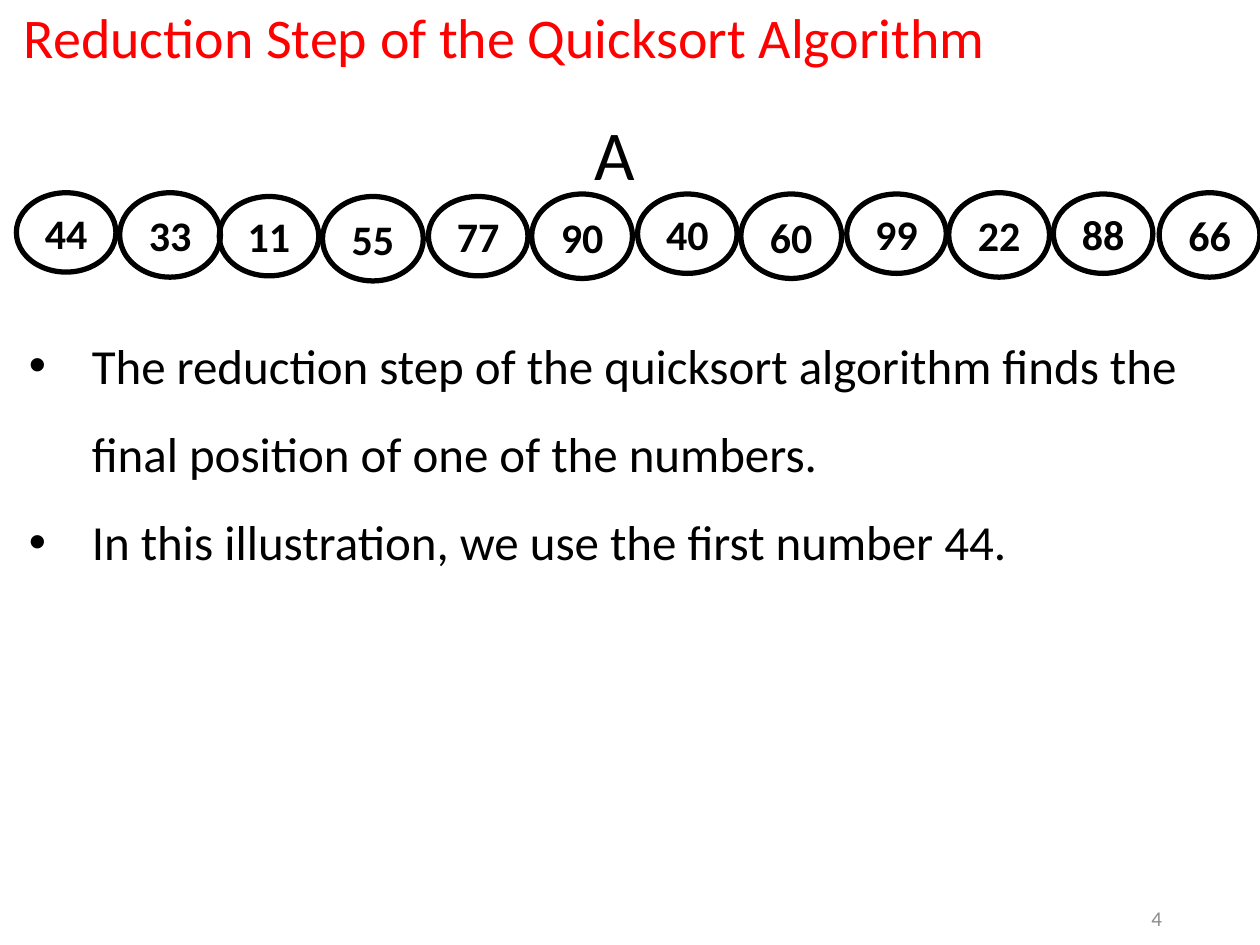
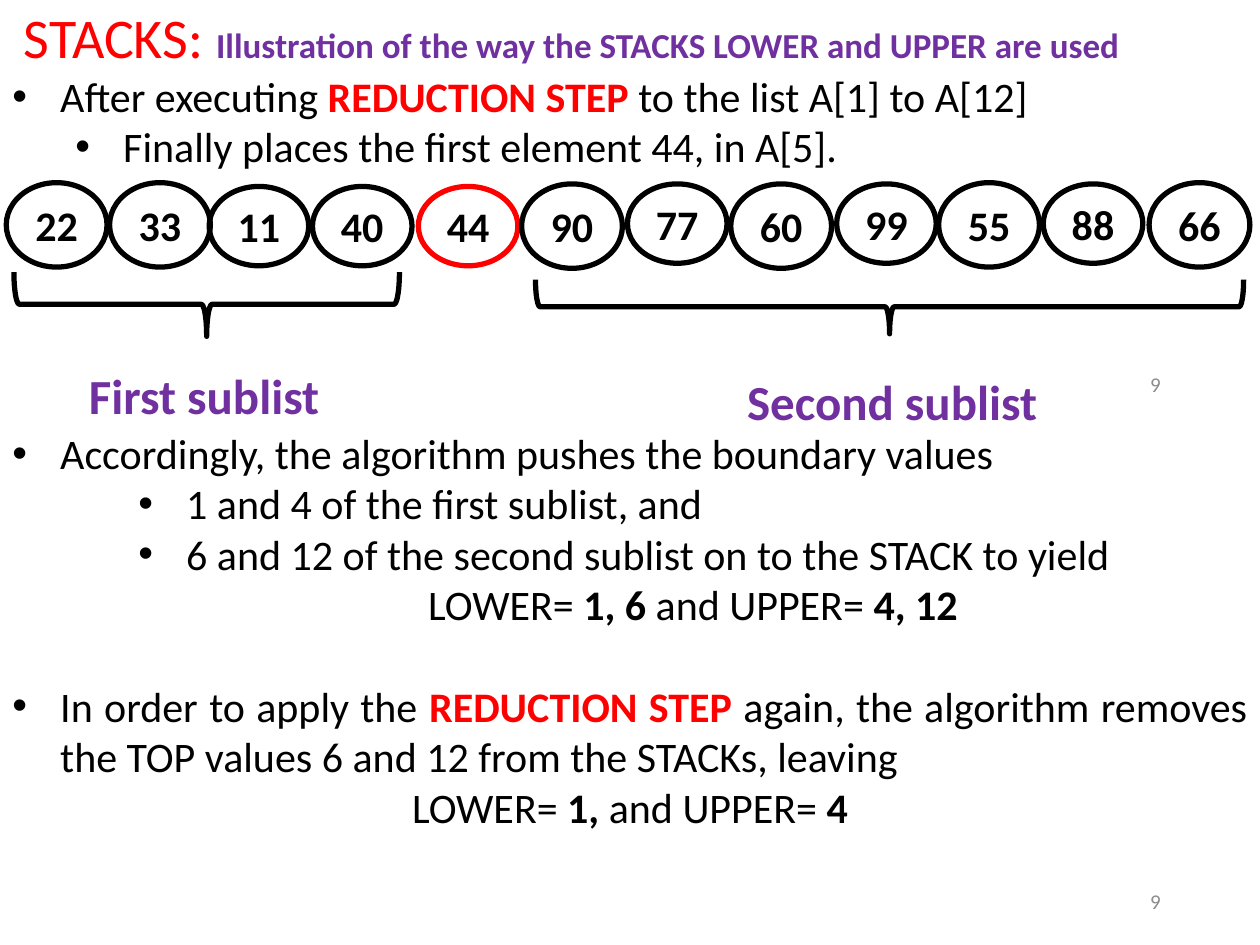
from lxml.etree import SubElement
from pptx import Presentation
from pptx.dml.color import RGBColor
from pptx.enum.shapes import MSO_SHAPE
from pptx.enum.text import MSO_ANCHOR, MSO_AUTO_SIZE, PP_ALIGN
from pptx.oxml.ns import qn
from pptx.util import Inches, Pt

FONT = "Calibri"
BLACK, RED, PURPLE, GREY = "000000", "FF0000", "7030A0", "8C8C8C"
LEFT, CENTER, RIGHT, JUSTIFY = PP_ALIGN.LEFT, PP_ALIGN.CENTER, PP_ALIGN.RIGHT, PP_ALIGN.JUSTIFY
BODY_SIZE = 24
BODY_LINE = 1.22 * BODY_SIZE

COLUMN_LEFTS = [0.13, 0.95, 1.74, 2.56, 3.4, 4.22, 5.06, 5.88, 6.72, 7.53, 8.36, 9.2]
COLUMN_TOPS = [1.53, 1.53, 1.56, 1.56, 1.56, 1.54, 1.54, 1.54, 1.54, 1.53, 1.54, 1.53]
LARGE_NUMBERS = {22, 33, 55, 60, 66, 90}
SMALL_SIZE, LARGE_SIZE = (0.79, 0.63), (0.8, 0.67)

UNSORTED = [44, 33, 11, 55, 77, 90, 40, 60, 99, 22, 88, 66]
REDUCED = [22, 33, 11, 40, 44, 90, 77, 60, 99, 55, 88, 66]
PIVOT = 44
REDUCED_SHIFT = -0.08

REDUCTION_TITLE = [("Reduction Step of the Quicksort Algorithm", 32, RED, False)]
STACKS_TITLE = [
    ("STACKS: ", 32, RED, False),
    ("Illustration of the way the STACKS LOWER and UPPER are used", 20, PURPLE, True),
]
REDUCTION_POINTS = [
    "The reduction step of the quicksort algorithm finds the final position of one of the numbers.",
    "In this illustration, we use the first number 44.",
]


def plain(text):
    return text, BODY_SIZE, BLACK, False


def strong(text, color=BLACK):
    return text, BODY_SIZE, color, True


STACKS_POINTS = [
    dict(pieces=[plain("After executing "), strong("REDUCTION STEP ", RED),
                 plain("to the list A[1] to A[12]")], margin=0.38, hanging=0.38),
    dict(pieces=[plain("Finally places the first element 44, in A[5].")],
         level=1, margin=0.88, hanging=0.38),
    dict(pieces=[plain("Accordingly, the algorithm pushes the boundary values")],
         margin=0.38, hanging=0.38, lines_before=5),
    dict(pieces=[plain("1 and 4 of the first sublist, and")],
         level=2, margin=1.38, hanging=0.38),
    dict(pieces=[plain("6 and 12 of the second sublist on to the STACK to yield")],
         level=2, margin=1.38, hanging=0.38),
    dict(pieces=[plain("LOWER= "), strong("1, 6 "), plain("and UPPER= "), strong("4, 12")],
         level=2, margin=1, align=CENTER),
    dict(pieces=[plain("In order to apply the "), strong("REDUCTION STEP ", RED),
                 plain("again, the algorithm removes the TOP values 6 and 12 from the STACKs, leaving ")],
         level=2, margin=0.38, hanging=0.38, align=JUSTIFY, lines_before=1),
    dict(pieces=[plain("LOWER= "), strong("1, "), plain("and UPPER= "), strong("4")],
         level=2, align=CENTER),
]
SUBLISTS = [
    dict(label="First sublist", label_at=(0.3, 2.85), brace=(0.11, 2.16, 3.06, 0.51)),
    dict(label="Second sublist", label_at=(5.76, 2.9), brace=(4.25, 2.22, 5.62, 0.43)),
]


def rgb(code):
    return RGBColor.from_string(code)


def inches(*lengths):
    return [Inches(length) for length in lengths]


def write(paragraph, pieces, align=LEFT, level=0, margin=0, hanging=0, lines_before=0, spacing=None):
    paragraph.alignment = align
    paragraph.level = level
    if lines_before:
        paragraph.space_before = Pt(round(lines_before * BODY_LINE, 1))
    if spacing:
        paragraph.line_spacing = spacing
    properties = paragraph._p.get_or_add_pPr()
    properties.set("marL", str(Inches(margin)))
    properties.set("indent", str(-Inches(hanging)))
    if hanging:
        SubElement(properties, qn("a:buFont")).set("typeface", "Arial")
        SubElement(properties, qn("a:buChar")).set("char", "•")
    for text, size, color, bold in pieces:
        run = paragraph.add_run()
        run.text = text
        run.font.name = FONT
        run.font.size = Pt(size)
        run.font.bold = bold
        run.font.color.rgb = rgb(color)


def add_text(slide, box, paragraphs, grow=True):
    frame = slide.shapes.add_textbox(*inches(*box)).text_frame
    frame.word_wrap = True
    if grow:
        frame.auto_size = MSO_AUTO_SIZE.SHAPE_TO_FIT_TEXT
    else:
        frame.vertical_anchor = MSO_ANCHOR.MIDDLE
    for index, content in enumerate(paragraphs):
        write(frame.add_paragraph() if index else frame.paragraphs[0], **content)


def add_title(slide, pieces, width, align=LEFT):
    add_text(slide, (0.09, -0.03, width, 0.64), [dict(pieces=pieces, align=align)])


def add_page_number(slide, number, left, top):
    pieces = [(str(number), 12, GREY, False)]
    add_text(slide, (left, top, 2.25, 0.4), [dict(pieces=pieces, align=RIGHT)], grow=False)


def add_outline(slide, preset, box, color):
    outline = slide.shapes.add_shape(preset, *inches(*box))
    outline.shadow.inherit = False
    outline.fill.background()
    outline.line.color.rgb = rgb(color)
    outline.line.width = Pt(3)
    return outline


def add_numbers(slide, numbers, shift=0, highlighted=None):
    for number, left, top in zip(numbers, COLUMN_LEFTS, COLUMN_TOPS):
        size = LARGE_SIZE if number in LARGE_NUMBERS else SMALL_SIZE
        color = RED if number == highlighted else BLACK
        circle = add_outline(slide, MSO_SHAPE.OVAL, (left + shift, top + shift, *size), color)
        frame = circle.text_frame
        frame.word_wrap = False
        frame.vertical_anchor = MSO_ANCHOR.MIDDLE
        write(frame.paragraphs[0], [strong(str(number))], CENTER)


def add_brace(slide, left, top, span, depth):
    turned = (left + (span - depth) / 2, top + (depth - span) / 2, depth, span)
    add_outline(slide, MSO_SHAPE.RIGHT_BRACE, turned, BLACK).rotation = 90


def build_reduction(slide):
    add_page_number(slide, 4, 7.07, 7.09)
    add_title(slide, REDUCTION_TITLE, 8.93)
    add_numbers(slide, UNSORTED)
    add_text(slide, (4.62, 0.83, 0.61, 0.77), [dict(pieces=[("A", 40, BLACK, False)])])
    add_text(slide, (0.13, 2.38, 9.72, 2.22), [
        dict(pieces=[(point, 28, BLACK, False)], margin=0.5, hanging=0.5, spacing=1.5)
        for point in REDUCTION_POINTS
    ])


def build_stacks(slide):
    add_title(slide, STACKS_TITLE, 9.78, JUSTIFY)
    add_text(slide, (0, 0.51, 10, 6.56), STACKS_POINTS)
    for top in (6.95, 2.85):
        add_page_number(slide, 9, 7.06, top)
    add_numbers(slide, REDUCED, REDUCED_SHIFT, PIVOT)
    for sublist in SUBLISTS:
        add_brace(slide, *sublist["brace"])
        label = [(sublist["label"], 28, PURPLE, True)]
        add_text(slide, (*sublist["label_at"], 2.64, 0.57), [dict(pieces=label, align=CENTER)])


def main():
    deck = Presentation()
    deck.slide_width, deck.slide_height = inches(10, 7.5)
    for build in (build_reduction, build_stacks):
        build(deck.slides.add_slide(deck.slide_layouts[6]))
    deck.save("out.pptx")


if __name__ == "__main__":
    main()
